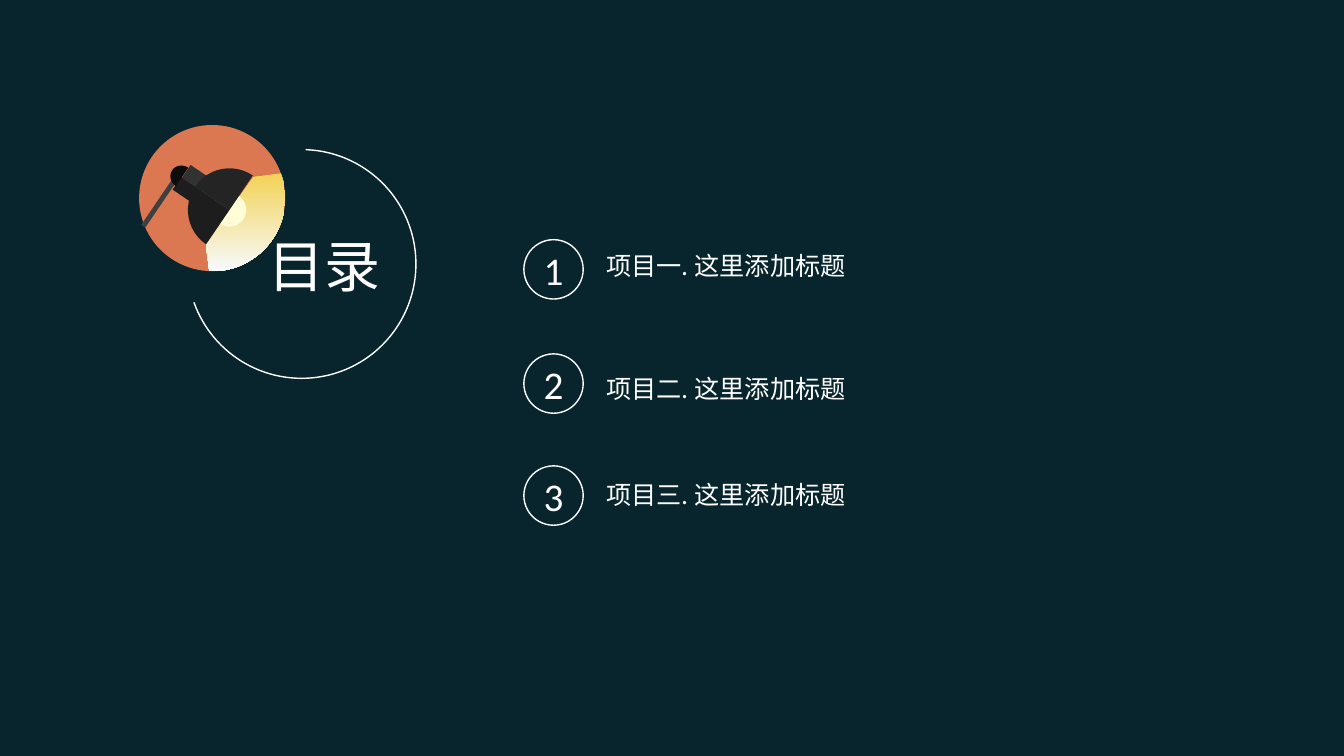
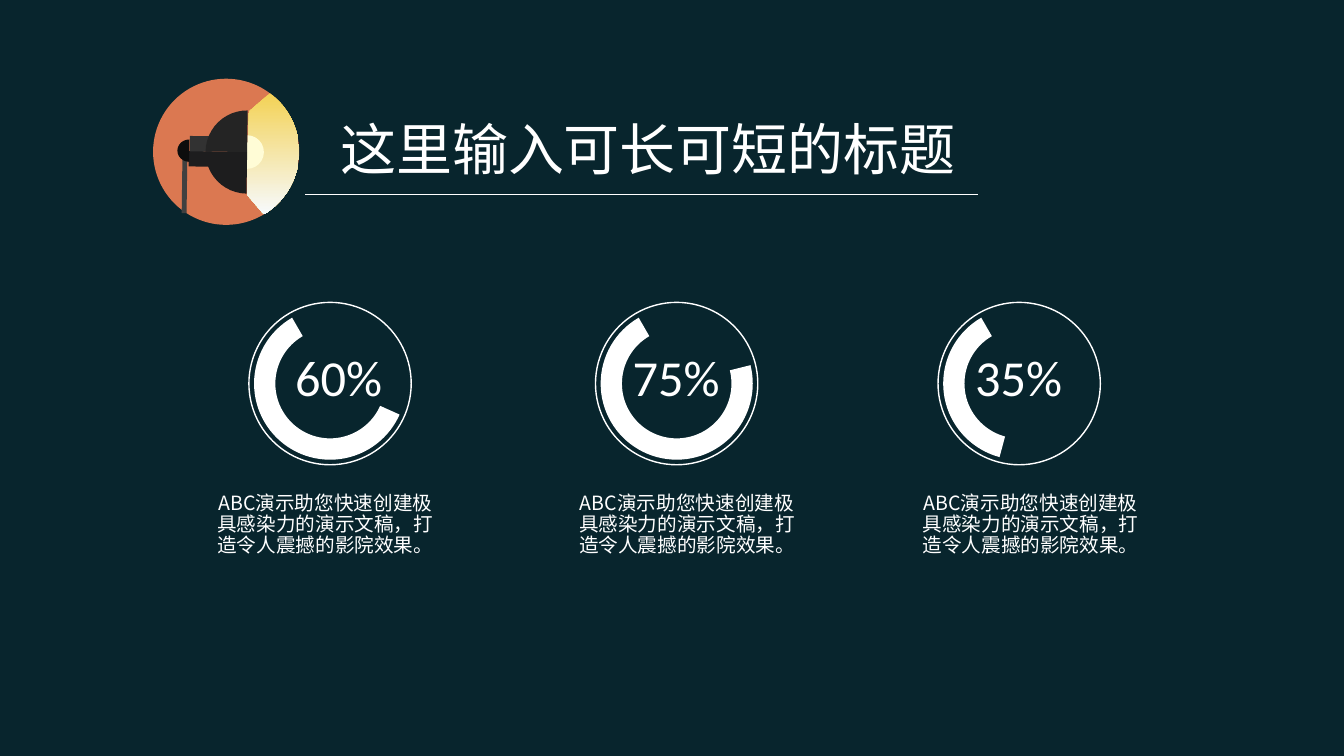
from math import cos, radians, sin

from lxml.etree import SubElement
from pptx import Presentation
from pptx.dml.color import RGBColor
from pptx.enum.shapes import MSO_CONNECTOR, MSO_SHAPE as SHAPE
from pptx.enum.text import MSO_ANCHOR, MSO_AUTO_SIZE, PP_ALIGN as ALIGN
from pptx.oxml.ns import qn
from pptx.util import Pt

COLORS = {
    "background": "08252D", "white": "FFFFFF", "disc": "DB7851", "rod": "404040",
    "beam_top": "F3D255", "beam_bottom": "F7FAFD", "bulb": "FFFCD6",
    "dark": "1D1D1E", "socket": "323232", "shade": "242424", "knob": "0D0D0D",
}
RGB = {name: RGBColor.from_string(value) for name, value in COLORS.items()}
CJK, LATIN = "Noto Sans CJK SC", "Calibri"


def add_text(sp, text, size=18, font=CJK, align=ALIGN.LEFT, spacing=1.0, inset=7.2):
    tf = sp.text_frame
    tf.word_wrap = True
    tf.auto_size = MSO_AUTO_SIZE.NONE
    tf.vertical_anchor = MSO_ANCHOR.MIDDLE
    tf.margin_left = tf.margin_right = Pt(inset)
    tf.margin_top = tf.margin_bottom = 0
    p = tf.paragraphs[0]
    p.alignment = align
    p.line_spacing = spacing
    r = p.add_run()
    r.text = text
    r.font.size = Pt(size)
    r.font.color.rgb = RGB["white"]
    r.font.name = font
    SubElement(r.font._element, qn("a:ea"), typeface=font)


def add_figure(s, kind, center, w, h, fill=None, line=None, angles=(), turn=0):
    """Add a preset shape around a complex center; angles run clockwise from the right."""
    sp = s.shapes.add_shape(kind, Pt(center.real - w / 2), Pt(center.imag - h / 2), Pt(w), Pt(h))
    sp.shadow.inherit = False
    sp.rotation = turn
    for i, angle in enumerate(angles):
        sp.adjustments[i] = angle * 0.6  # 60000 units per degree, scaled by 100000
    if fill:
        sp.fill.solid()
        sp.fill.fore_color.rgb = RGB[fill]
    else:
        sp.fill.background()
    if line:
        sp.line.color.rgb = RGB[line]
        sp.line.width = Pt(1)
    else:
        sp.line.fill.background()
    return sp


prs = Presentation()
prs.slide_width, prs.slide_height = Pt(960.5), Pt(540)
background = prs.slide_master.background.fill
background.solid()
background.fore_color.rgb = RGB["background"]

# Titles
slides = []
for title, x, y, w in (("目录", 185, 156.7, 105), ("这里输入可长可短的标题", 236, 72.5, 490)):
    s = prs.slides.add_slide(prs.slide_layouts[5])
    sp = s.shapes.title
    sp.left, sp.top, sp.width, sp.height = Pt(x), Pt(y), Pt(w), Pt(66)
    add_text(sp, title, size=40)
    slides.append(s)
contents, progress = slides

# Lamp, described around the disc center and turned on each slide
DISC_R = 52.2
rod = (-29.4 + 44.3j, -29.4 + 0.4j, "rod", 3.5)
underline = (56.6 + 30.6j, 537.5 + 30.6j, "white", 0.5)
beam_rim = [15 + 30j, 16 - 29j]
beam_arc = [DISC_R * complex(cos(radians(a)), sin(radians(a))) for a in range(-54, 59, 2)]
lamp_parts = (
    (SHAPE.PIE, 15 + 0j, 24, 24, "bulb", (270, 90)),
    (SHAPE.RECTANGLE, -18.7 + 5.4j, 16, 11, "dark", ()),
    (SHAPE.RECTANGLE, -18 - 5.4j, 16, 11, "socket", ()),
    (SHAPE.PIE, 15 + 0j, 59.4, 59.4, "dark", (90, 180)),
    (SHAPE.PIE, 15 + 0j, 59.4, 59.4, "shade", (180, 270)),
    (SHAPE.PIE, -26.3 - 0.4j, 17, 16, "knob", (90, 270)),
)
for s, center, turn, strokes in (
    (contents, 151.6 + 141.5j, 34.2, [rod]),
    (progress, 161.6 + 108.4j, 0.8, [rod]),
    (progress, 161.6 + 108.4j, 0, [underline]),
):
    spin = complex(cos(radians(turn)), sin(radians(turn)))
    if rod in strokes:
        add_figure(s, SHAPE.OVAL, center, 2 * DISC_R, 2 * DISC_R, fill="disc")
    for start, end, color, width in strokes:
        a, b = center + start * spin, center + end * spin
        line = s.shapes.add_connector(
            MSO_CONNECTOR.STRAIGHT, Pt(a.real), Pt(a.imag), Pt(b.real), Pt(b.imag))
        line.line.color.rgb = RGB[color]
        line.line.width = Pt(width)
        SubElement(line._element.spPr, qn("a:effectLst"))
    if rod not in strokes:
        continue
    outline = [center + point * spin for point in beam_rim + beam_arc]
    points = [(Pt(point.real), Pt(point.imag)) for point in outline]
    builder = s.shapes.build_freeform(*points[0])
    builder.add_line_segments(points[1:])
    beam = builder.convert_to_shape()
    beam.shadow.inherit = False
    beam.line.fill.background()
    beam.fill.gradient()
    beam.fill.gradient_angle = 270
    for stop, color in zip(beam.fill.gradient_stops, ("beam_top", "beam_bottom")):
        stop.color.rgb = RGB[color]
    for kind, offset, w, h, fill, angles in lamp_parts:
        add_figure(s, kind, center + offset * spin, w, h, fill=fill, angles=angles, turn=turn)

# Contents list
add_figure(contents, SHAPE.ARC, 215.6 + 188.6j, 163.4, 163.4, line="white", angles=(272, 160.4))
for number, item, circle_y, text_y in (
    ("1", "项目一. 这里添加标题", 192.4, 191.2),
    ("2", "项目二. 这里添加标题", 274, 279),
    ("3", "项目三. 这里添加标题", 354, 354.6),
):
    sp = add_figure(contents, SHAPE.OVAL, complex(395.6, circle_y), 42.4, 42.4, line="white")
    add_text(sp, number, size=28, font=LATIN, align=ALIGN.CENTER, inset=0)
    sp = contents.shapes.add_textbox(Pt(426.2), Pt(text_y - 18), Pt(198), Pt(36))
    add_text(sp, item, spacing=0.9)

# Progress rings
caption = "ABC演示助您快速创建极具感染力的演示文稿，打造令人震撼的影院效果。"
for percent, ring_x, start_angle, percent_x, caption_x in (
    ("60%", 235.9, 24, 203.8, 144.7),
    ("75%", 483.6, 346, 445, 403.2),
    ("35%", 728.4, 105, 689.8, 648.7),
):
    center = complex(ring_x, 274)
    add_figure(progress, SHAPE.OVAL, center, 116, 116, line="white")
    ring = add_figure(progress, SHAPE.BLOCK_ARC, center, 108.7, 108.7,
                      fill="white", angles=(start_angle, 240))
    ring.adjustments[2] = 0.14
    sp = progress.shapes.add_textbox(Pt(percent_x), Pt(246.5), Pt(80), Pt(50))
    add_text(sp, percent, size=36, font=LATIN, spacing=0.9)
    sp = progress.shapes.add_textbox(Pt(caption_x), Pt(344.8), Pt(175.7), Pt(60))
    add_text(sp, caption, size=14, align=ALIGN.CENTER, spacing=Pt(15.1))

prs.save("out.pptx")
